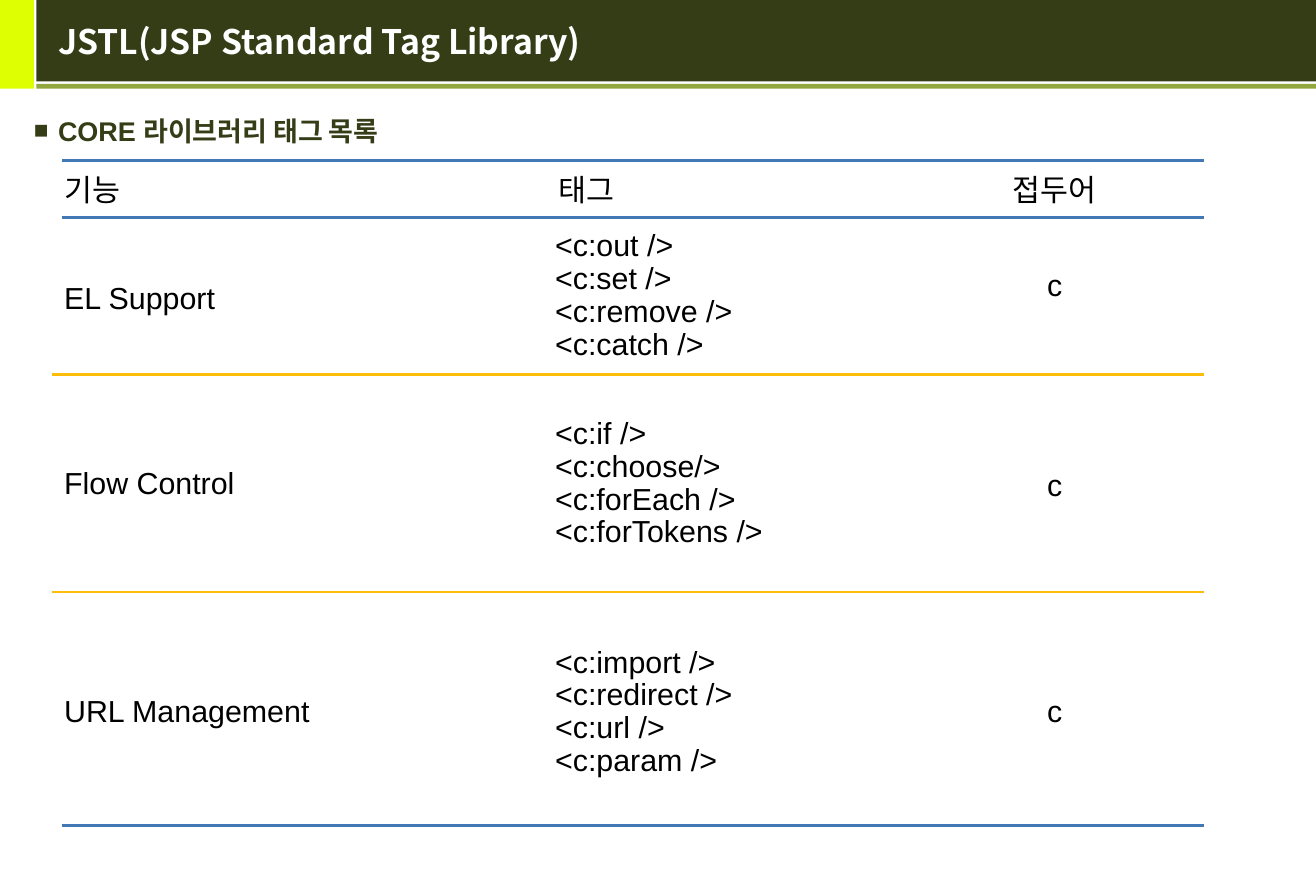
from lxml import etree
from pptx import Presentation
from pptx.dml.color import RGBColor as RGB
from pptx.enum.shapes import MSO_CONNECTOR as LINE, MSO_SHAPE as SHAPE
from pptx.enum.text import MSO_ANCHOR as ANCHOR, PP_ALIGN as ALIGN
from pptx.oxml.ns import qn
from pptx.util import Inches, Pt

SANS, HANGUL = "Arial", "Noto Sans CJK KR"
DARK = "353D17"


def style(run, size, color, face=SANS, bold=False):
    font = run.font
    font.size, font.name, font.bold = Pt(size), face, bold
    font.color.rgb = RGB.from_string(color)
    etree.SubElement(run._r.rPr, qn("a:ea"), typeface=HANGUL)


def write(lines, x, y, w, h, align=ALIGN.LEFT):
    """Add a middle-anchored cell text; several lines are set tighter."""
    box = slide.shapes.add_textbox(Inches(x), Inches(y), Inches(w), Inches(h))
    frame = box.text_frame
    frame.word_wrap = True
    frame.vertical_anchor = ANCHOR.MIDDLE
    for i, line in enumerate(lines):
        para = frame.add_paragraph() if i else frame.paragraphs[0]
        para.alignment = align
        if len(lines) > 1:
            para.line_spacing = 0.9
        run = para.add_run()
        run.text = line
        style(run, 18, "000000")


deck = Presentation()
deck.slide_width, deck.slide_height = Inches(10.83), Inches(7.28)
slide = deck.slides.add_slide(deck.slide_layouts[5])

# Header bars
for x, y, w, h, color in [
    (0, 0, 0.28, 0.73, "DEFF02"),
    (0.3, 0, 10.53, 0.67, DARK),
    (0.3, 0.69, 10.53, 0.04, "93A73F"),
]:
    bar = slide.shapes.add_shape(SHAPE.RECTANGLE, Inches(x), Inches(y), Inches(w), Inches(h))
    bar.shadow.inherit = False
    bar.fill.solid()
    bar.fill.fore_color.rgb = RGB.from_string(color)
    bar.line.fill.background()

# Title, brought in front of the bars
title = slide.shapes.title
slide.shapes._spTree.append(title._element)
title.left, title.top = Inches(0.38), Inches(0)
title.width, title.height = Inches(10.32), Inches(0.68)
title.text_frame.vertical_anchor = ANCHOR.MIDDLE
para = title.text_frame.paragraphs[0]
para.alignment = ALIGN.LEFT
run = para.add_run()
run.text = "JSTL(JSP Standard Tag Library)"
style(run, 20, "FFFFFF", HANGUL, True)

# Bulleted heading
head = slide.shapes.add_textbox(Inches(0.18), Inches(0.89), Inches(10.47), Inches(0.4))
head.text_frame.word_wrap = True
para = head.text_frame.paragraphs[0]
props = para._p.get_or_add_pPr()
props.set("marL", str(Inches(0.2)))
props.set("indent", str(-Inches(0.2)))
tint = etree.SubElement(props, qn("a:buClr"))
etree.SubElement(tint, qn("a:srgbClr"), val=DARK)
etree.SubElement(props, qn("a:buSzPct"), val="90000")
etree.SubElement(props, qn("a:buFont"), typeface=SANS)
etree.SubElement(props, qn("a:buChar"), char="■")
run = para.add_run()
run.text = "CORE 라이브러리 태그 목록"
style(run, 16, DARK, bold=True)

# Column heads
write(["기능"], 0.43, 1.32, 4.4, 0.47)
write(["태그"], 4.5, 1.32, 2.75, 0.47)
write(["접두어"], 7.58, 1.32, 2.2, 0.47, ALIGN.CENTER)

# Rows: name, name top and height, tags, tags top and height, prefix top
rows = [
    ("EL Support", 1.7, 1.49, ["out />", "set />", "remove />", "catch />"], 1.69, 1.49, 1.78),
    ("Flow Control", 3.09, 1.76, ["if />", "choose/>", "forEach />", "forTokens />"], 3.1, 1.76, 3.42),
    ("URL Management", 4.88, 1.92, ["import />", "redirect />", "url />", "param />"], 4.92, 1.88, 5.28),
]
for name, top, high, tags, tag_top, tag_high, mid in rows:
    write([name], 0.43, top, 4.4, high)
    write(["<c:" + tag for tag in tags], 4.47, tag_top, 2.75, tag_high)
    write(["c"], 7.58, mid, 2.2, 1.12, ALIGN.CENTER)

# Rules: blue frame the table, amber part the rows
blue, amber = (0.51, "4378B6", 2.25), (0.43, "FDBD09", 1.5)
for y, (x, color, width) in [
    (1.32, blue), (1.79, blue), (3.08, amber), (4.87, amber), (6.79, blue),
]:
    rule = slide.shapes.add_connector(LINE.STRAIGHT, Inches(x), Inches(y), Inches(9.91), Inches(y))
    rule.line.color.rgb = RGB.from_string(color)
    rule.line.width = Pt(width)
    etree.SubElement(rule._element.spPr, qn("a:effectLst"))

deck.save("out.pptx")
